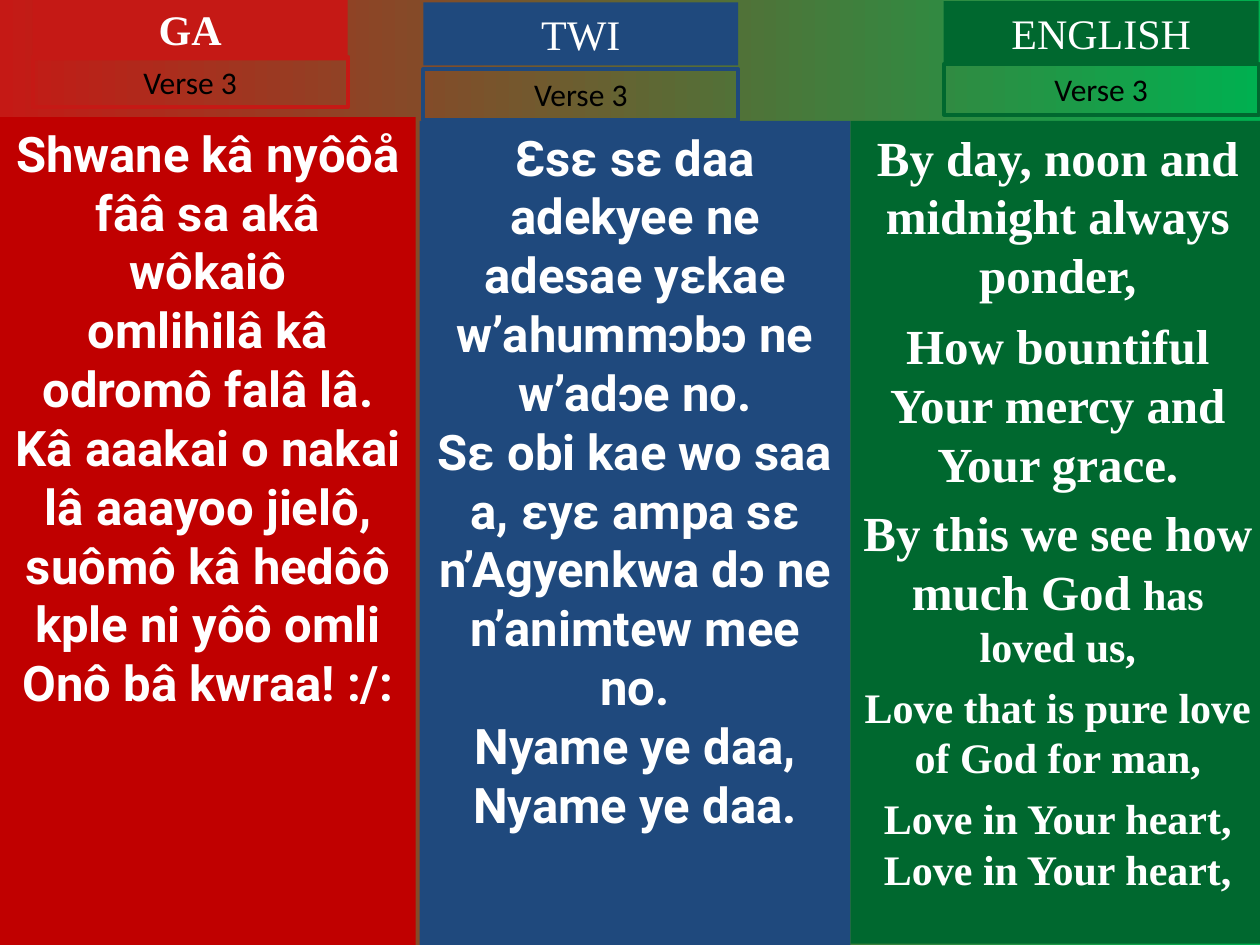
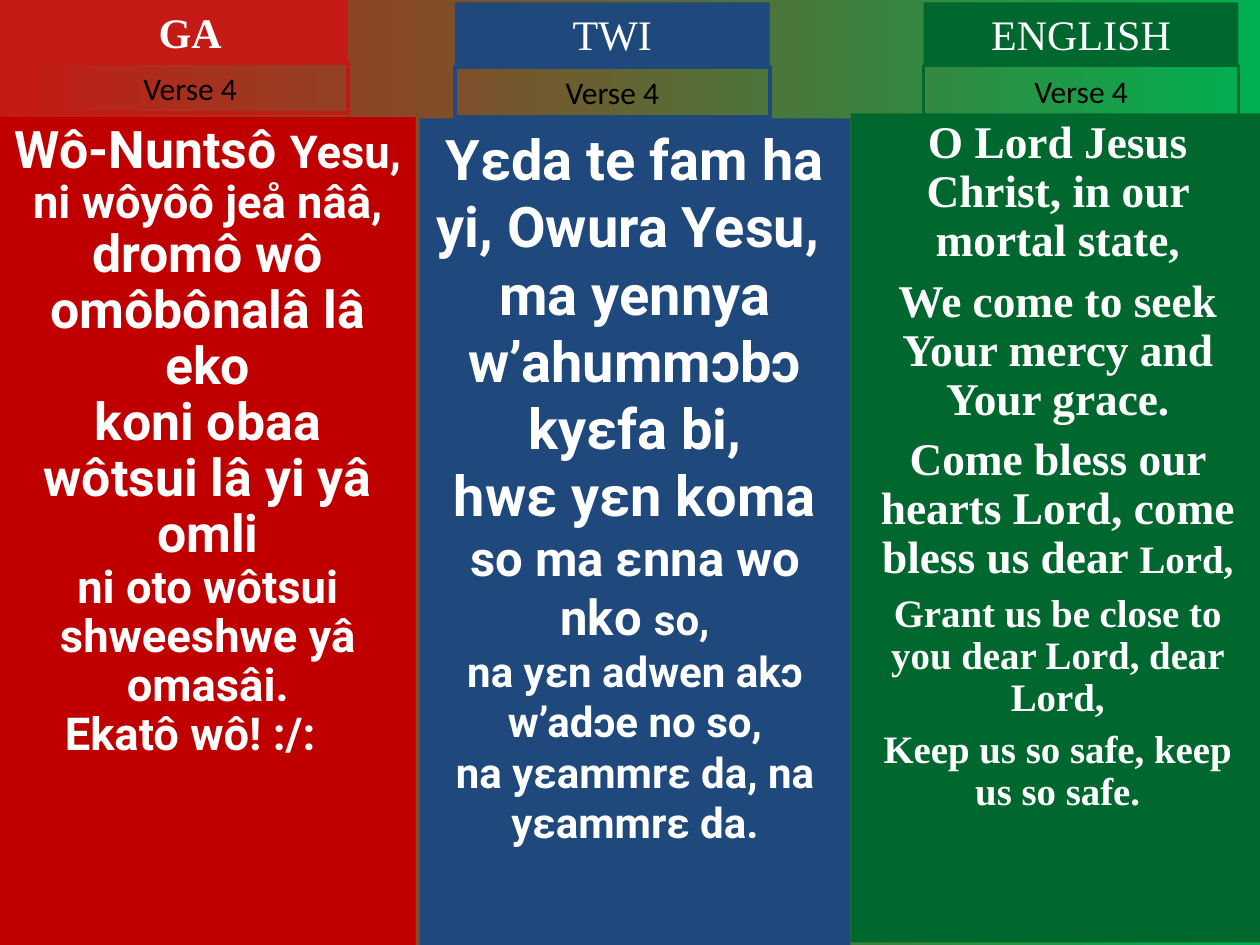
from pptx import Presentation
from pptx.dml.color import RGBColor
from pptx.enum.shapes import MSO_SHAPE
from pptx.enum.text import MSO_ANCHOR, MSO_AUTO_SIZE, PP_ALIGN
from pptx.util import Inches, Pt

RECT = MSO_SHAPE.RECTANGLE
TOP = MSO_ANCHOR.TOP
CENTER = PP_ALIGN.CENTER
GROW = MSO_AUTO_SIZE.SHAPE_TO_FIT_TEXT
FIXED = MSO_AUTO_SIZE.NONE

COLORS = {
    "start": "C51915", "end": "00B050", "white": "FFFFFF", "black": "000000",
    "red": "C00000", "blue": "1F497D", "green": "00682F",
}
SERIF = "Times New Roman"
SANS = "Roboto"

COLUMNS = [
    {"name": "GA", "tab": "start", "fill": "red", "font": SANS,
     "left": 0, "width": 3.3, "bold": True, "gaps": [0]},
    {"name": "TWI", "tab": "blue", "fill": "blue", "font": SANS,
     "left": 3.33, "width": 3.42, "bold": False, "gaps": [0]},
    {"name": "ENGLISH", "tab": "green", "fill": "green", "font": SERIF,
     "left": 6.75, "width": 3.29, "bold": False, "gaps": [0, 7, 6]},
]

VERSES = [
    {"title": "Verse 3", "parts": [
        {"tab": (0.26, -0.02), "label": 0.45, "top": 0.93, "high": 6.57, "lines": [
            [("Shwane kâ nyôôå fââ sa akâ wôkaiô", 28)],
            [("omlihilâ kâ odromô falâ lâ.", 28)],
            [("Kâ aaakai o nakai lâ aaayoo jielô,", 28)],
            [("suômô kâ hedôô kple ni yôô omli", 28)],
            [("Onô bâ kwraa! :/:", 28)],
        ]},
        {"tab": (3.36, 0.02), "label": 0.55, "top": 0.96, "high": 6.54, "lines": [
            [("Ɛsɛ sɛ daa adekyee ne adesae yɛkae w’ahummɔbɔ ne w’adɔe no.", 28)],
            [("Sɛ obi kae wo saa a, ɛyɛ ampa sɛ n’Agyenkwa dɔ ne n’animtew mee no.", 28)],
            [("Nyame ye daa, Nyame ye daa.", 28)],
        ]},
        {"tab": (7.49, 0.01), "label": 0.51, "top": 0.96, "high": 6.53, "lines": [
            [("By day, noon and midnight always ponder,", 28)],
            [("How bountiful Your mercy and Your grace.", 28)],
            [("By this we see how much God ", 28), ("has loved us,", 24)],
            [("Love that is pure love of God for man,", 24)],
            [("Love in Your heart, Love in Your heart,", 24)],
        ]},
    ]},
    {"title": "Verse 4", "parts": [
        {"tab": (0.26, 0), "label": 0.5, "top": 0.93, "high": 6.57,
         "space": 0.9, "shift": 0.28, "lines": [
            [("Wô-Nuntsô ", 29.6), ("Yesu, ni wôyôô jeå nââ,", 25.9)],
            [("dromô wô omôbônalâ lâ eko", 29.6)],
            [("koni obaa wôtsui lâ yi yâ omli", 29.6)],
            [("ni oto wôtsui shweeshwe yâ omasâi.", 25.9)],
            [("Ekatô wô! :/:", 25.9)],
        ]},
        {"tab": (3.61, 0.02), "label": 0.53, "top": 0.94, "high": 6.56, "lines": [
            [("Yɛda te fam ha yi, Owura Yesu, ", 32)],
            [("ma yennya w’ahummɔbɔ kyɛfa bi,", 32)],
            [("hwɛ yɛn koma ", 32), ("so ma ɛnna wo nko ", 28), ("so,", 24)],
            [("na yɛn adwen akɔ w’adɔe no so,", 24)],
            [("na yɛammrɛ da, na yɛammrɛ da.", 24)],
        ]},
        {"tab": (7.33, 0.02), "label": 0.52, "top": 0.9, "high": 6.58,
         "space": 0.9, "lines": [
            [("O Lord Jesus Christ, in our mortal state,", 25.9)],
            [("We come to seek Your mercy and Your grace.", 25.9)],
            [("Come bless our hearts Lord, come bless us dear ", 25.9), ("Lord,", 22.2)],
            [("Grant us be close to you dear Lord, dear Lord,", 22.2)],
            [("Keep us so safe, keep us so safe.", 22.2)],
        ]},
    ]},
]


def rgb(name):
    return RGBColor.from_string(COLORS[name])


def apply(target, values):
    for key, value in values.items():
        setattr(target, key, value)


class Deck:
    def __init__(self):
        self.show = Presentation()
        apply(self.show, {"slide_width": Inches(10), "slide_height": Inches(7.5)})
        self.slide = None

    def page(self):
        self.slide = self.show.slides.add_slide(self.show.slide_layouts[6])
        fill = self.slide.background.fill
        fill.gradient()
        fill.gradient_angle = 0
        for stop, name, place in zip(fill.gradient_stops, ("start", "end"), (0, 1)):
            stop.color.rgb = rgb(name)
            stop.position = place

    def box(self, left, top, width, height, fill=None, line=None, size=FIXED):
        shape = self.slide.shapes.add_shape(
            RECT, Inches(left), Inches(top), Inches(width), Inches(height))
        shape.shadow.inherit = False
        if fill:
            shape.fill.solid()
            shape.fill.fore_color.rgb = rgb(fill)
        else:
            shape.fill.background()
        if line:
            shape.line.color.rgb = rgb(line)
            shape.line.width = Pt(2.25)
        else:
            shape.line.fill.background()
        apply(shape.text_frame, {
            "word_wrap": True, "auto_size": size, "vertical_anchor": TOP,
            "margin_left": Inches(0.1), "margin_right": Inches(0.1),
            "margin_top": Inches(0.05), "margin_bottom": Inches(0.05)})
        return shape.text_frame

    def text(self, frame, lines, font, color="white", bold=False, space=1, gaps=(0,)):
        for index, runs in enumerate(lines):
            para = frame.add_paragraph() if index else frame.paragraphs[0]
            gap = gaps[min(index, len(gaps) - 1)]
            apply(para, {"alignment": CENTER, "line_spacing": space,
                         "space_before": Pt(gap)})
            for words, size in runs:
                run = para.add_run()
                run.text = words
                apply(run.font, {"name": font, "size": Pt(size), "bold": bold})
                run.font.color.rgb = rgb(color)
        return para

    def verse(self, col, part):
        frame = self.box(col["left"], part["top"], col["width"], part["high"], col["fill"])
        last = self.text(frame, part["lines"], col["font"], bold=True,
                         space=part.get("space", 1), gaps=col["gaps"])
        if "shift" in part:
            last._p.get_or_add_pPr().set("marR", str(Inches(part["shift"])))

    def head(self, col, part, title):
        left, top = part["tab"]
        frame = self.box(left, top, 2.5, 0.5, fill=col["tab"], size=GROW)
        self.text(frame, [[(col["name"], 24)]], SERIF, bold=col["bold"])
        frame = self.box(left, part["label"], 2.5, 0.4, line=col["tab"], size=GROW)
        self.text(frame, [[(title, 18)]], "Calibri", "black")


def main():
    deck = Deck()
    for verse in VERSES:
        deck.page()
        for col, part in zip(COLUMNS, verse["parts"]):
            deck.verse(col, part)
            deck.head(col, part, verse["title"])
    deck.show.save("out.pptx")


if __name__ == "__main__":
    main()
